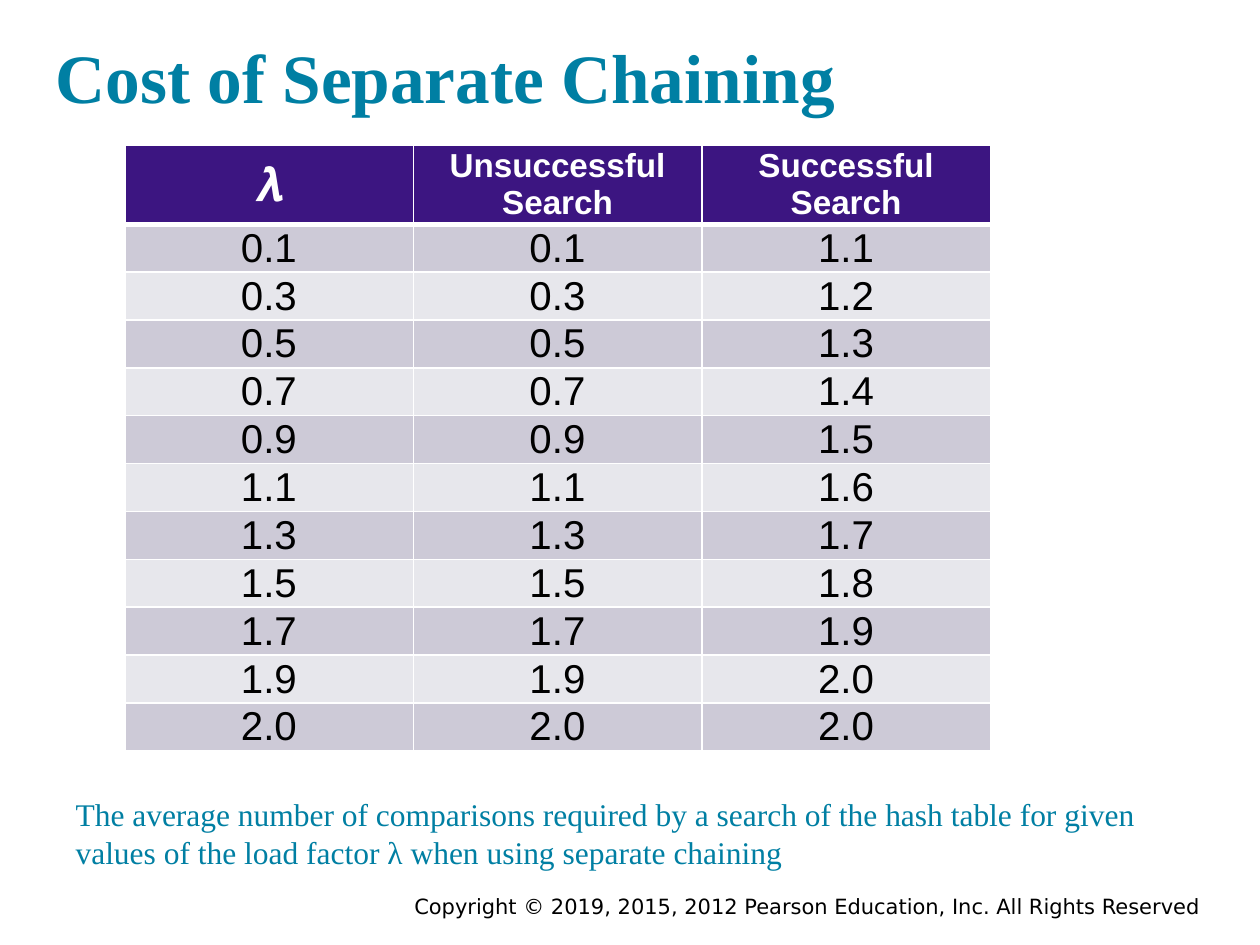
from lxml.etree import SubElement
from pptx import Presentation
from pptx.dml.color import RGBColor
from pptx.enum.text import MSO_ANCHOR, MSO_AUTO_SIZE, PP_ALIGN
from pptx.oxml.ns import qn
from pptx.util import Inches, Pt

TEAL = RGBColor(0x00, 0x7F, 0xA3)
PURPLE = RGBColor(0x3C, 0x15, 0x81)
DARK_BAND = RGBColor(0xCD, 0xCA, 0xD7)
LIGHT_BAND = RGBColor(0xE7, 0xE7, 0xEC)
WHITE = RGBColor(0xFF, 0xFF, 0xFF)
BLACK = RGBColor(0x00, 0x00, 0x00)


def write_text(shape, text, font_name, size, color, bold=False, margin=0.1):
    """Fill a shape with one paragraph anchored at the bottom."""
    frame = shape.text_frame
    frame.text = text
    frame.word_wrap = True
    frame.auto_size = MSO_AUTO_SIZE.NONE
    frame.vertical_anchor = MSO_ANCHOR.BOTTOM
    frame.margin_left = frame.margin_right = Inches(margin)
    frame.margin_top = frame.margin_bottom = Inches(margin)
    paragraph = frame.paragraphs[0]
    paragraph.alignment = PP_ALIGN.LEFT
    paragraph.space_before = Pt(0)
    font = paragraph.runs[0].font
    font.name, font.size, font.bold = font_name, Pt(size), bold
    font.color.rgb = color
    return paragraph


def add_border(cell, side, width):
    """Draw one white edge of a table cell."""
    line = SubElement(cell._tc.get_or_add_tcPr(), qn(f"a:ln{side}"), w=str(Pt(width)))
    fill = SubElement(line, qn("a:solidFill"))
    SubElement(fill, qn("a:srgbClr"), val=str(WHITE))


presentation = Presentation()
presentation.slide_width = Inches(10)
presentation.slide_height = Inches(7.5)
slide = presentation.slides.add_slide(presentation.slide_layouts[1])

# Title
title = slide.shapes.title
title.left, title.top = Inches(0.34), Inches(0.15)
title.width, title.height = Inches(9.31), Inches(0.88)
write_text(title, "Cost of Separate Chaining", "Times New Roman", 39.6, TEAL, bold=True)

# Caption below the table
caption = slide.placeholders[1]
caption.left, caption.top = Inches(0.5), Inches(6.13)
caption.width, caption.height = Inches(9), Inches(0.88)
paragraph = write_text(
    caption,
    "The average number of comparisons required by a search of the hash table "
    "for given values of the load factor λ when using separate chaining",
    "Times New Roman", 18, TEAL)
properties = paragraph._p.get_or_add_pPr()
properties.set("marL", "0")
properties.set("indent", "0")
SubElement(properties, qn("a:buNone"))

# Copyright line
copyright_box = slide.shapes.add_textbox(Inches(1.75), Inches(7.03), Inches(7.83), Inches(0.31))
paragraph = write_text(
    copyright_box,
    "Copyright © 2019, 2015, 2012 Pearson Education, Inc. All Rights Reserved",
    "DejaVu Sans", 12, BLACK, margin=0.05)
paragraph.alignment = PP_ALIGN.RIGHT

# Cost table: an unsuccessful search costs the load factor itself
load_factors = ["0.1", "0.3", "0.5", "0.7", "0.9", "1.1", "1.3", "1.5", "1.7", "1.9", "2.0"]
successful = ["1.1", "1.2", "1.3", "1.4", "1.5", "1.6", "1.7", "1.8", "1.9", "2.0", "2.0"]
rows = [("𝝀", "Unsuccessful Search", "Successful Search")]
rows += zip(load_factors, load_factors, successful)

table = slide.shapes.add_table(
    len(rows), 3, Inches(0.99), Inches(1.15), Inches(6.88), Inches(4.86)).table
for column in table.columns:
    column.width = Inches(2.29)

for row_index, row in enumerate(rows):
    is_header = row_index == 0
    table.rows[row_index].height = Inches(0.63 if is_header else 0.38)
    for column_index, text in enumerate(row):
        cell = table.cell(row_index, column_index)
        cell.text = text
        cell.vertical_anchor = MSO_ANCHOR.MIDDLE
        cell.margin_left = cell.margin_right = 0
        cell.margin_top = cell.margin_bottom = 0

        # The rule under the header is thicker than the others
        for side in "LRTB":
            thick = (row_index, side) in ((0, "B"), (1, "T"))
            add_border(cell, side, 3 if thick else 1)
        cell.fill.solid()
        band = DARK_BAND if row_index % 2 else LIGHT_BAND
        cell.fill.fore_color.rgb = PURPLE if is_header else band

        paragraph = cell.text_frame.paragraphs[0]
        paragraph.alignment = PP_ALIGN.CENTER
        font = paragraph.runs[0].font
        font.name = "Arial"
        font.bold = is_header
        font.color.rgb = WHITE if is_header else BLACK
        header_size = 27 if column_index == 0 else 19
        font.size = Pt(header_size if is_header else 23)

presentation.save("out.pptx")
